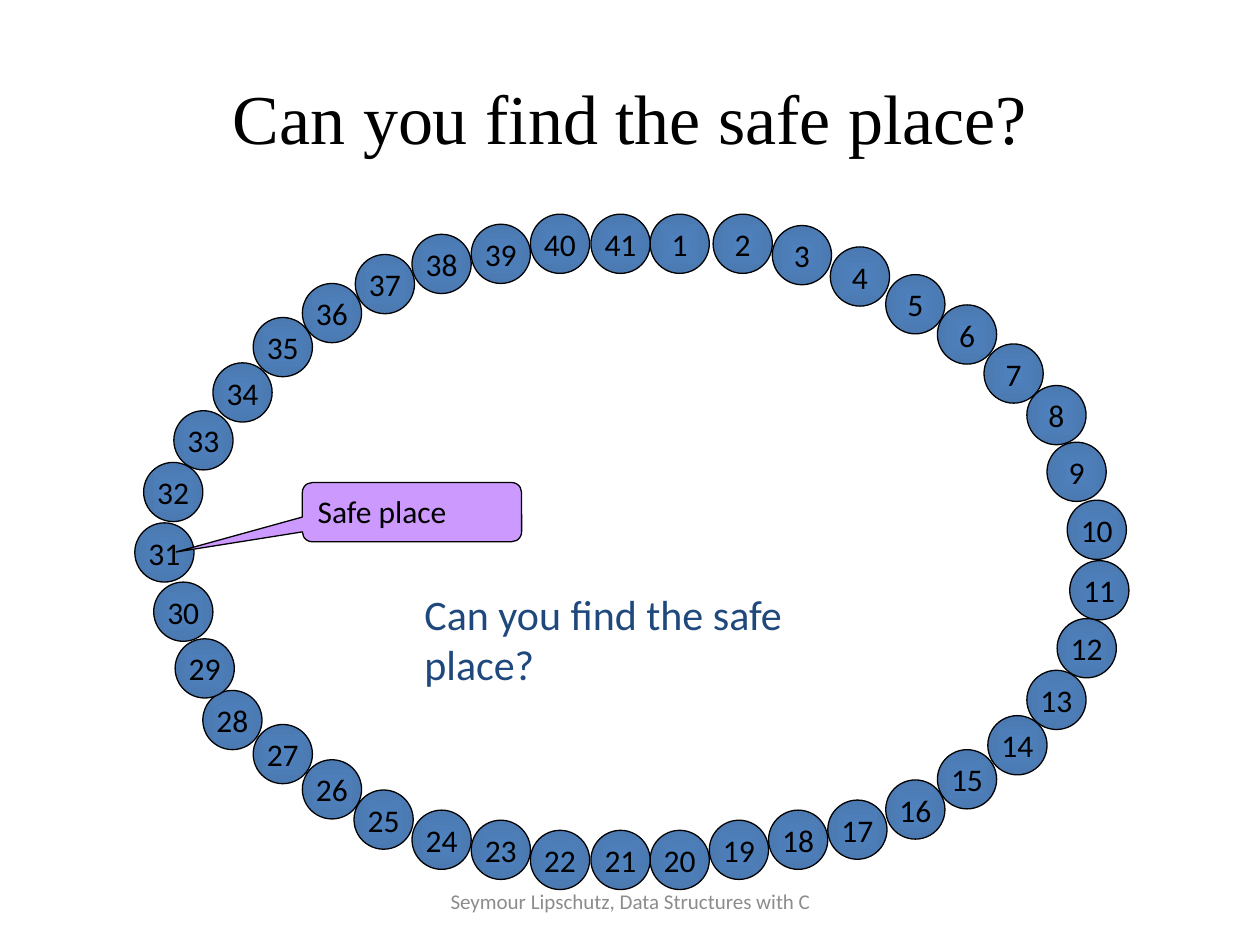
from typing import NamedTuple

from lxml.etree import SubElement
from pptx import Presentation
from pptx.dml.color import RGBColor
from pptx.enum.shapes import MSO_SHAPE
from pptx.enum.text import MSO_ANCHOR, PP_ALIGN
from pptx.oxml.ns import qn
from pptx.util import Inches, Pt

BLACK = RGBColor(0x00, 0x00, 0x00)
BLUE = RGBColor(0x4F, 0x81, 0xBD)
BLUE_EDGE = RGBColor(0x4B, 0x7A, 0xB2)
NAVY = RGBColor(0x1F, 0x49, 0x7D)
VIOLET = RGBColor(0xCC, 0x99, 0xFF)
GRAY = RGBColor(0x8C, 0x8C, 0x8C)

SEAT_SIZE = 0.47
QUESTION = "Can you find the safe place?"


class Box(NamedTuple):
    left: float
    top: float
    width: float
    height: float


class Label(NamedTuple):
    text: str
    box: Box
    size: int
    color: RGBColor
    font: str = "Calibri"
    align: PP_ALIGN = PP_ALIGN.CENTER
    anchor: MSO_ANCHOR = MSO_ANCHOR.MIDDLE


# Left and top of each seat, clockwise from number 1
SEATS = [
    (5.16, 1.70), (5.66, 1.70), (6.13, 1.79), (6.59, 1.96), (7.03, 2.18),
    (7.44, 2.42), (7.81, 2.73), (8.15, 3.06), (8.31, 3.51), (8.47, 3.97),
    (8.49, 4.45), (8.39, 4.91), (8.15, 5.32), (7.84, 5.68), (7.44, 5.95),
    (7.03, 6.19), (6.57, 6.35), (6.10, 6.43), (5.63, 6.51), (5.16, 6.59),
    (4.69, 6.59), (4.21, 6.59), (3.74, 6.51), (3.27, 6.43), (2.81, 6.27),
    (2.40, 6.03), (2.01, 5.75), (1.61, 5.48), (1.39, 5.07), (1.22, 4.62),
    (1.07, 4.15), (1.14, 3.67), (1.38, 3.26), (1.69, 2.88), (2.01, 2.52),
    (2.40, 2.25), (2.82, 2.02), (3.27, 1.86), (3.74, 1.78), (4.21, 1.70),
    (4.69, 1.70),
]

TITLE = Label(QUESTION, Box(0.5, 0.3, 9, 1.25), 40, BLACK, "Times New Roman")
PROMPT = Label(QUESTION, Box(3.27, 4.62, 3.37, 0.91), 24, NAVY,
               align=PP_ALIGN.LEFT, anchor=MSO_ANCHOR.TOP)
FOOTER = Label("Seymour Lipschutz, Data Structures with C",
               Box(3.42, 6.95, 3.17, 0.4), 12, GRAY)
CALLOUT = Label("Safe place", Box(2.4, 3.83, 1.74, 0.47), 18, BLACK,
                align=PP_ALIGN.LEFT, anchor=MSO_ANCHOR.TOP)


def write_label(sp, label: Label, wrap: bool = True) -> None:
    tf = sp.text_frame
    tf.text = label.text
    tf.word_wrap = wrap
    tf.vertical_anchor = label.anchor
    p = tf.paragraphs[0]
    p.alignment = label.align
    font = p.runs[0].font
    font.name = label.font
    font.size = Pt(label.size)
    font.color.rgb = label.color


def add_text(slide, label: Label) -> None:
    sp = slide.shapes.add_textbox(*map(Inches, label.box))
    write_label(sp, label)


def add_outlined(slide, kind: MSO_SHAPE, box: Box):
    sp = slide.shapes.add_shape(kind, *map(Inches, box))
    sp.shadow.inherit = False
    sp.line.color.rgb = BLACK
    sp.line.width = Pt(0.75)
    return sp


def fill_from_center(sp, center: RGBColor, edge: RGBColor) -> None:
    """Give the shape a gradient that follows its outline."""
    sp.fill.gradient()
    for stop, color in zip(sp.fill.gradient_stops, (center, edge)):
        stop.color.rgb = color
    grad = sp.element.spPr.find(qn("a:gradFill"))
    grad.remove(grad.find(qn("a:lin")))
    shape_path = SubElement(grad, qn("a:path"), {"path": "shape"})
    SubElement(shape_path, qn("a:fillToRect"), dict.fromkeys("ltrb", "50000"))


def add_seat(slide, number: int, left: float, top: float) -> None:
    box = Box(left, top, SEAT_SIZE, SEAT_SIZE)
    sp = add_outlined(slide, MSO_SHAPE.OVAL, box)
    fill_from_center(sp, BLUE, BLUE_EDGE)
    write_label(sp, Label(str(number), box, 18, BLACK), wrap=False)


def add_callout(slide, label: Label) -> None:
    sp = add_outlined(slide, MSO_SHAPE.ROUNDED_RECTANGULAR_CALLOUT, label.box)
    for i, value in enumerate((-1.076, 0.673, 0.167)):
        sp.adjustments[i] = value
    sp.fill.solid()
    sp.fill.fore_color.rgb = VIOLET
    write_label(sp, label)


def main() -> None:
    prs = Presentation()
    prs.slide_width, prs.slide_height = Inches(10), Inches(7.5)
    slide = prs.slides.add_slide(prs.slide_layouts[6])

    add_text(slide, TITLE)
    for number, (left, top) in enumerate(SEATS, start=1):
        add_seat(slide, number, left, top)
    add_callout(slide, CALLOUT)
    add_text(slide, PROMPT)
    add_text(slide, FOOTER)

    prs.save("out.pptx")


if __name__ == "__main__":
    main()
